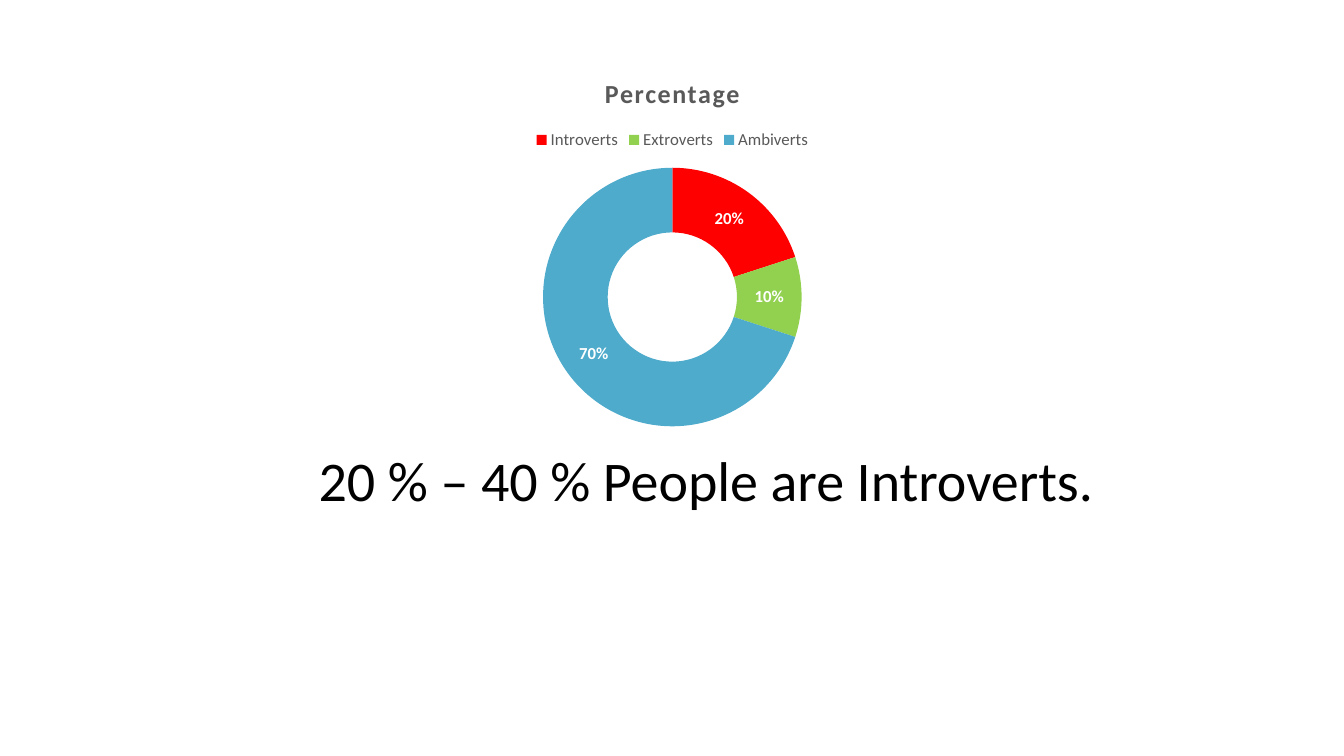
from pptx import Presentation
from pptx.chart import data
from pptx.dml import color
from pptx.enum import chart as kinds, text
from pptx.util import Pt


def paint(hue):
    return color.RGBColor.from_string(hue)


def style(font, size, hue, bold=False):
    form = {"name": "Calibri", "size": Pt(size), "bold": bold}
    for key, val in form.items():
        setattr(font, key, val)
    font.color.rgb = paint(hue)


deck = Presentation()
deck.slide_width, deck.slide_height = Pt(960), Pt(540)
slide = deck.slides.add_slide(deck.slide_layouts[6])

# Doughnut chart
parts = {
    "Introverts": (20, "FF0000"),
    "Extroverts": (10, "92D050"),
    "Ambiverts": (70, "4EABCC"),
}
table = data.CategoryChartData()
table.categories = list(parts)
table.add_series("Percentage", [share for share, hue in parts.values()])
chart = slide.shapes.add_chart(
    kinds.XL_CHART_TYPE.DOUGHNUT, Pt(250.5), Pt(41), Pt(459.5), Pt(273.5), table
).chart
style(chart.font, 10, "000000")
plot = chart.plots[0]
plot.vary_by_categories = True
for spot, (share, hue) in enumerate(parts.values()):
    fill = plot.series[0].points[spot].format.fill
    fill.solid()
    fill.fore_color.rgb = paint(hue)

# Chart title, slightly letter-spaced
chart.has_title = True
head = chart.chart_title.text_frame
head.text = "Percentage"
run = head.paragraphs[0].runs[0]
style(run.font, 18.6, "595959", True)
run.font._element.set("spc", "100")
chart.chart_title.include_in_layout = False

# Legend
chart.has_legend = True
chart.legend.position = kinds.XL_LEGEND_POSITION.TOP
chart.legend.include_in_layout = False
style(chart.legend.font, 12, "595959")

# Percent labels
plot.has_data_labels = True
tags = plot.data_labels
for key, val in {
    "show_percentage": True,
    "show_value": False,
    "number_format": "0%",
    "number_format_is_linked": False,
}.items():
    setattr(tags, key, val)
style(tags.font, 12, "FFFFFF", True)

# Caption
frame = slide.shapes.add_textbox(Pt(218), Pt(314.5), Pt(572.5), Pt(55.5)).text_frame
frame.word_wrap = True
frame.auto_size = text.MSO_AUTO_SIZE.SHAPE_TO_FIT_TEXT
line = frame.paragraphs[0]
line.alignment = text.PP_ALIGN.CENTER
run = line.add_run()
run.text = "20 % – 40 % People are Introverts."
style(run.font, 40, "000000")

deck.save("out.pptx")
